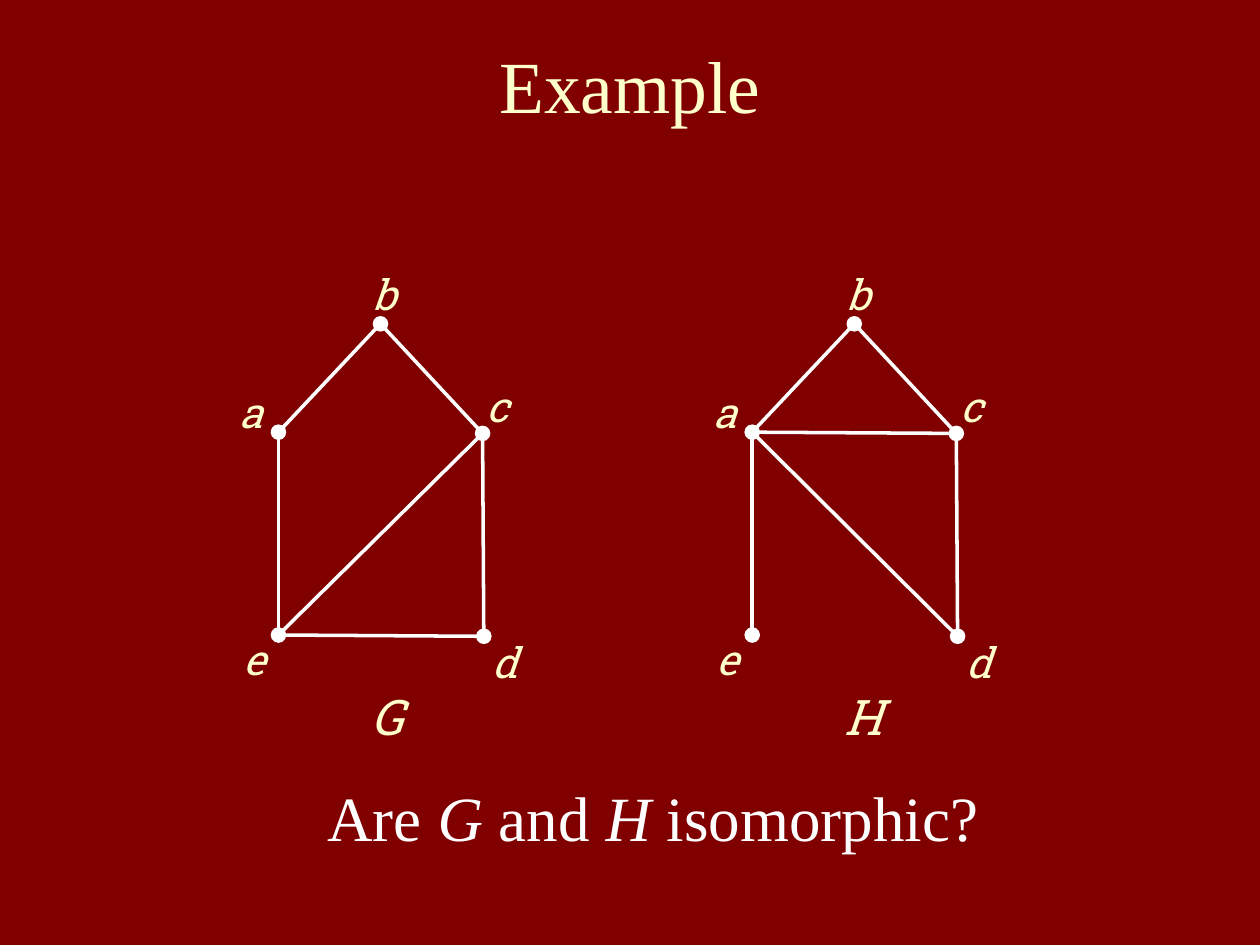
from typing import NamedTuple

from pptx import Presentation
from pptx.dml.color import RGBColor
from pptx.enum.shapes import MSO_CONNECTOR, MSO_SHAPE
from pptx.enum.text import MSO_ANCHOR, PP_ALIGN
from pptx.oxml.ns import qn
from pptx.slide import Slide
from pptx.util import Inches, Pt

MAROON = RGBColor(0x80, 0x00, 0x00)
CREAM = RGBColor(0xFF, 0xFF, 0xCC)
WHITE = RGBColor(0xFF, 0xFF, 0xFF)
SERIF, SLAB = "Times New Roman", "Roboto Slab"
DOT = 0.11
LABEL_WIDTH = 0.32


class Vertex(NamedTuple):
    x: float  # centre of the dot
    y: float
    label_x: float  # top left of the label
    label_y: float


class Graph(NamedTuple):
    name: str
    shift: float  # distance to the right of the first graph
    edges: tuple[str, ...]


VERTICES = {
    "a": Vertex(2.21, 3.43, 1.9, 3.07),
    "b": Vertex(3.02, 2.57, 2.96, 2.13),
    "c": Vertex(3.83, 3.44, 3.86, 3.02),
    "d": Vertex(3.84, 5.05, 3.91, 5.05),
    "e": Vertex(2.21, 5.04, 1.93, 5.03),
}
GRAPHS = (
    Graph("G", 0, ("ab", "bc", "ae", "cd", "de", "ce")),
    Graph("H", 3.76, ("ab", "bc", "ae", "cd", "ad", "ac")),
)


def add_label(slide: Slide, text: str, x: float, y: float, height: float, size: int) -> None:
    box = slide.shapes.add_textbox(Inches(x), Inches(y), Inches(LABEL_WIDTH), Inches(height))
    frame = box.text_frame
    frame.margin_left = frame.margin_right = frame.margin_top = frame.margin_bottom = 0
    frame.word_wrap = True
    frame.text = text
    font = frame.paragraphs[0].runs[0].font
    font.name, font.size, font.italic = SLAB, Pt(size), True
    font.color.rgb = CREAM


def add_edge(slide: Slide, start: Vertex, end: Vertex, shift: float) -> None:
    edge = slide.shapes.add_connector(
        MSO_CONNECTOR.STRAIGHT,
        Inches(start.x + shift), Inches(start.y),
        Inches(end.x + shift), Inches(end.y),
    )
    edge.line.color.rgb = WHITE
    edge.line.width = Pt(2)
    properties = edge._element.spPr
    properties.append(properties.makeelement(qn("a:effectLst"), {}))


def add_dot(slide: Slide, vertex: Vertex, shift: float) -> None:
    dot = slide.shapes.add_shape(
        MSO_SHAPE.OVAL,
        Inches(vertex.x + shift - DOT / 2), Inches(vertex.y - DOT / 2),
        Inches(DOT), Inches(DOT),
    )
    dot.shadow.inherit = False
    dot.fill.solid()
    dot.fill.fore_color.rgb = WHITE
    dot.line.color.rgb = WHITE
    dot.line.width = Pt(1)


def add_graph(slide: Slide, graph: Graph) -> None:
    for start, end in graph.edges:
        add_edge(slide, VERTICES[start], VERTICES[end], graph.shift)
    for letter, vertex in VERTICES.items():
        add_dot(slide, vertex, graph.shift)
        add_label(slide, letter, vertex.label_x + graph.shift, vertex.label_y, 0.4, 24)
    add_label(slide, graph.name, 2.94 + graph.shift, 5.45, 0.47, 28)


def add_title(slide: Slide) -> None:
    title = slide.shapes.title
    title.left, title.top = Inches(0.5), Inches(0.17)
    title.width, title.height = Inches(9), Inches(1)
    frame = title.text_frame
    frame.text = "Example"
    frame.vertical_anchor = MSO_ANCHOR.MIDDLE
    heading = frame.paragraphs[0]
    heading.alignment = PP_ALIGN.CENTER
    font = heading.runs[0].font
    font.name, font.size = SERIF, Pt(42)
    font.color.rgb = CREAM


def add_question(slide: Slide) -> None:
    box = slide.shapes.add_textbox(Inches(2.5), Inches(6.13), Inches(5.42), Inches(0.7))
    box.text_frame.word_wrap = True
    question = box.text_frame.paragraphs[0]
    for words in ("Are ", "G", " and ", "H", " isomorphic?"):
        run = question.add_run()
        run.text = words
        run.font.name, run.font.size = SERIF, Pt(36)
        run.font.italic = words in ("G", "H")
        run.font.color.rgb = WHITE


def main() -> None:
    deck = Presentation()
    deck.slide_width, deck.slide_height = Inches(10), Inches(7.5)
    slide = deck.slides.add_slide(deck.slide_layouts[5])
    slide.background.fill.solid()
    slide.background.fill.fore_color.rgb = MAROON

    add_title(slide)
    # The two graphs share their vertices and differ in edges
    for graph in GRAPHS:
        add_graph(slide, graph)
    add_question(slide)

    deck.save("out.pptx")


if __name__ == "__main__":
    main()
